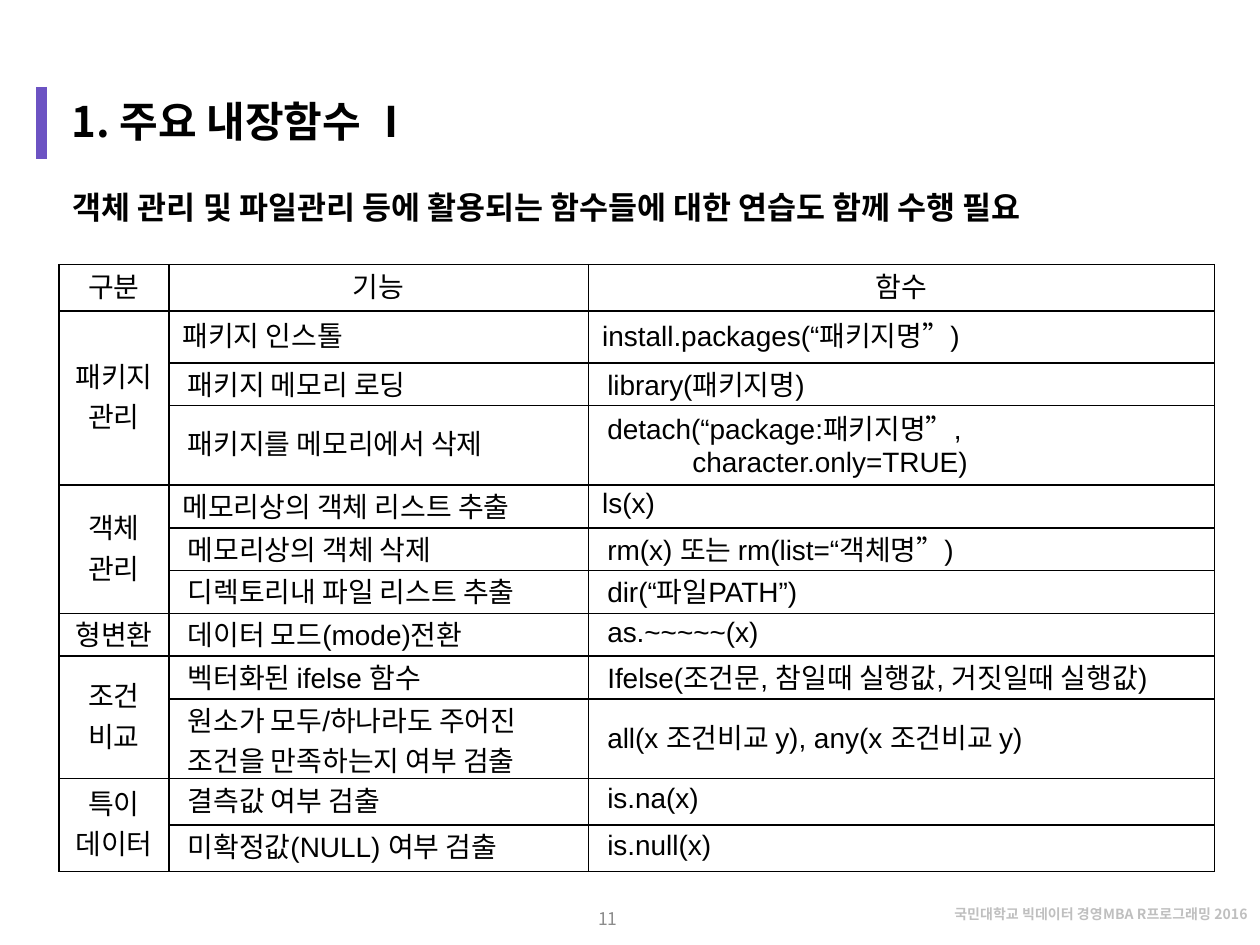
from pptx import Presentation
from pptx import util as u
from pptx.dml.color import RGBColor
from pptx.enum import shapes, text
from pptx.oxml import xmlchemy

BLACK = RGBColor(0x00, 0x00, 0x00)
PURPLE = RGBColor(0x6C, 0x53, 0xC3)
GRAY = RGBColor(0x8C, 0x8C, 0x8C)
LIGHT_GRAY = RGBColor(0xBF, 0xBF, 0xBF)
LATIN_FONT = "Arial"
KOREAN_FONT = "Noto Sans CJK KR"
LEFT, CENTER, RIGHT = text.PP_ALIGN.LEFT, text.PP_ALIGN.CENTER, text.PP_ALIGN.RIGHT
TOP, MIDDLE = text.MSO_ANCHOR.TOP, text.MSO_ANCHOR.MIDDLE

COLUMN_WIDTHS = [0.87, 3.33, 4.97]
ROW_HEIGHTS = [0.37, 0.41, 0.34, 0.63, *[0.34] * 5, 0.63, 0.37, 0.37]
HEADERS = ["구분", "기능", "함수"]
GROUPS = [
    ("패키지\n관리", [
        ("패키지 인스톨", "install.packages(“패키지명”)"),
        ("패키지 메모리 로딩", "library(패키지명)"),
        ("패키지를 메모리에서 삭제",
         "detach(“package:패키지명”,\n           character.only=TRUE)"),
    ]),
    ("객체\n관리", [
        ("메모리상의 객체 리스트 추출", "ls(x)"),
        ("메모리상의 객체 삭제", "rm(x) 또는 rm(list=“객체명”)"),
        ("디렉토리내 파일 리스트 추출", "dir(“파일PATH”)"),
    ]),
    ("형변환", [("데이터 모드(mode)전환", "as.~~~~~(x)")]),
    ("조건\n비교", [
        ("벡터화된 ifelse 함수", "Ifelse(조건문, 참일때 실행값, 거짓일때 실행값)"),
        ("원소가 모두/하나라도 주어진 조건을 만족하는지 여부 검출",
         "all(x 조건비교 y), any(x 조건비교 y)"),
    ]),
    ("특이\n데이터", [
        ("결측값 여부 검출", "is.na(x)"),
        ("미확정값(NULL) 여부 검출", "is.null(x)"),
    ]),
]
LESS_INDENTED_ROWS = (1, 4)


def set_attributes(target, values):
    for name, value in values.items():
        setattr(target, name, value)


def add_element(parent, tag, **attributes):
    element = xmlchemy.OxmlElement(tag)
    for name, value in attributes.items():
        element.set(name, str(value))
    parent.append(element)
    return element


class SlideBuilder:
    def __init__(self, presentation):
        self.slide = presentation.slides.add_slide(presentation.slide_layouts[5])

    def fill_text(self, frame, content, align=LEFT, **font):
        """Fill a text frame, one paragraph for each line of content."""
        style = {"name": LATIN_FONT, "size": u.Pt(16), "bold": False} | font
        color = style.pop("color", BLACK)
        for index, line in enumerate(content.split("\n")):
            paragraph = frame.paragraphs[0] if index == 0 else frame.add_paragraph()
            paragraph.alignment = align
            run = paragraph.add_run()
            run.text = line
            set_attributes(run.font, style)
            run.font.color.rgb = color
            add_element(run._r.get_or_add_rPr(), "a:ea", typeface=KOREAN_FONT)

    def title(self, box, content, indent, **font):
        shape = self.slide.shapes.title
        set_attributes(shape, dict(zip(("left", "top", "width", "height"),
                                       map(u.Inches, box))))
        set_attributes(shape.text_frame, {"vertical_anchor": MIDDLE, "word_wrap": True,
                                          "auto_size": text.MSO_AUTO_SIZE.NONE})
        self.fill_text(shape.text_frame, content, **font)
        properties = shape.text_frame.paragraphs[0]._p.get_or_add_pPr()
        properties.set("marL", str(u.Inches(indent)))
        properties.set("indent", str(u.Inches(-indent)))

    def text_box(self, box, content, anchor=TOP, line_spacing=1.0, **style):
        frame = self.slide.shapes.add_textbox(*map(u.Inches, box)).text_frame
        set_attributes(frame, {"word_wrap": True, "vertical_anchor": anchor})
        self.fill_text(frame, content, **style)
        frame.paragraphs[0].line_spacing = line_spacing

    def line(self, start, end, color, width):
        connector = self.slide.shapes.add_connector(
            shapes.MSO_CONNECTOR.STRAIGHT, *map(u.Inches, (*start, *end)))
        connector.line.color.rgb = color
        connector.line.width = u.Pt(width)
        add_element(connector._element.spPr, "a:effectLst")

    def cell(self, cell, content, align=LEFT, inset=0.05):
        set_attributes(cell, {
            "vertical_anchor": MIDDLE, "margin_top": 0, "margin_bottom": u.Inches(0.04),
            "margin_left": u.Inches(inset), "margin_right": u.Inches(inset)})
        self.fill_text(cell.text_frame, content, align)

    def finish_cell(self, cell):
        """Give a cell black one-point borders and no fill."""
        properties = cell._tc.get_or_add_tcPr()
        for side in ("a:lnL", "a:lnR", "a:lnT", "a:lnB"):
            border = add_element(properties, side, w=u.Pt(1))
            fill = add_element(border, "a:solidFill")
            add_element(fill, "a:srgbClr", val=BLACK)
        cell.fill.background()

    def function_table(self, box):
        table = self.slide.shapes.add_table(
            len(ROW_HEIGHTS), len(COLUMN_WIDTHS), *map(u.Inches, box)).table
        set_attributes(table, {"first_row": False, "horz_banding": False})
        for column, width in zip(table.columns, COLUMN_WIDTHS):
            column.width = u.Inches(width)
        for row, height in zip(table.rows, ROW_HEIGHTS):
            row.height = u.Inches(height)
        for column, header in enumerate(HEADERS):
            self.cell(table.cell(0, column), header, CENTER)
        row = 1
        for group, entries in GROUPS:
            first = table.cell(row, 0)
            if len(entries) > 1:
                first.merge(table.cell(row + len(entries) - 1, 0))
            self.cell(first, group, CENTER)
            for entry in entries:
                inset = 0.11 if row in LESS_INDENTED_ROWS else 0.15
                for column, content in enumerate(entry, start=1):
                    self.cell(table.cell(row, column), content, inset=inset)
                row += 1
        for cell in table.iter_cells():
            self.finish_cell(cell)


def main():
    presentation = Presentation()
    presentation.slide_width, presentation.slide_height = u.Inches(10), u.Inches(7.5)
    builder = SlideBuilder(presentation)
    builder.text_box((6.87, 7.15, 3.13, 0.28), "국민대학교 빅데이터 경영MBA R프로그래밍 2016",
                     line_spacing=0.9, align=RIGHT, name=KOREAN_FONT, size=u.Pt(8),
                     bold=True, color=LIGHT_GRAY)
    builder.line((0.33, 0.69), (0.33, 1.26), PURPLE, 6)
    builder.text_box((3.7, 7.09, 2.25, 0.4), "11", MIDDLE, align=CENTER,
                     name=KOREAN_FONT, size=u.Pt(10), color=GRAY)
    builder.title((0.47, 0.76, 9.03, 0.39), "1. 주요 내장함수 Ⅰ", 0.39,
                  name=KOREAN_FONT, size=u.Pt(24), bold=True)
    builder.function_table((0.47, 2.1, 9.18, 4.8))
    builder.text_box((0.48, 1.44, 9.32, 0.4),
                     "객체 관리 및 파일관리 등에 활용되는 함수들에 대한 연습도 함께 수행 필요",
                     size=u.Pt(18), bold=True)
    presentation.save("out.pptx")


if __name__ == "__main__":
    main()
